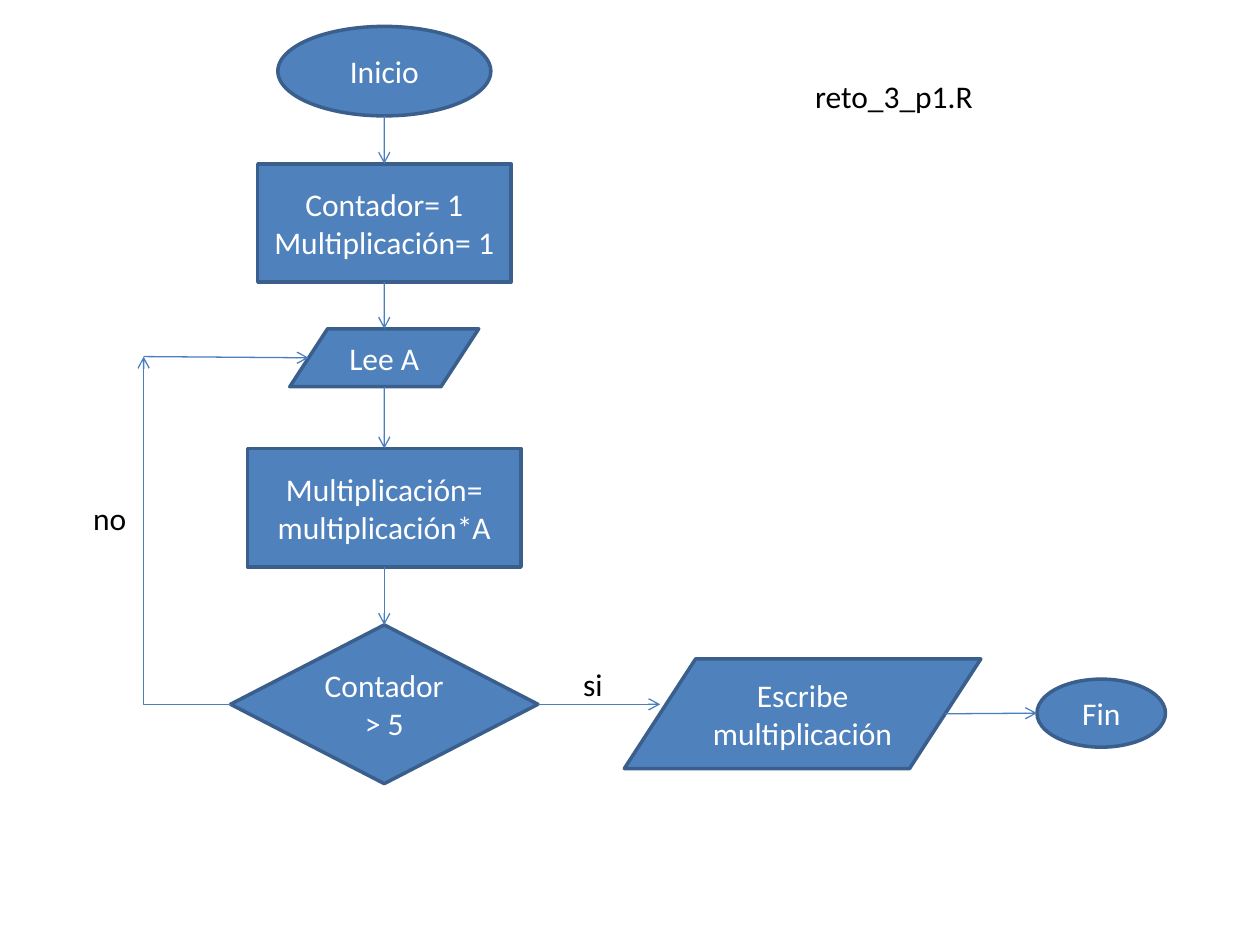
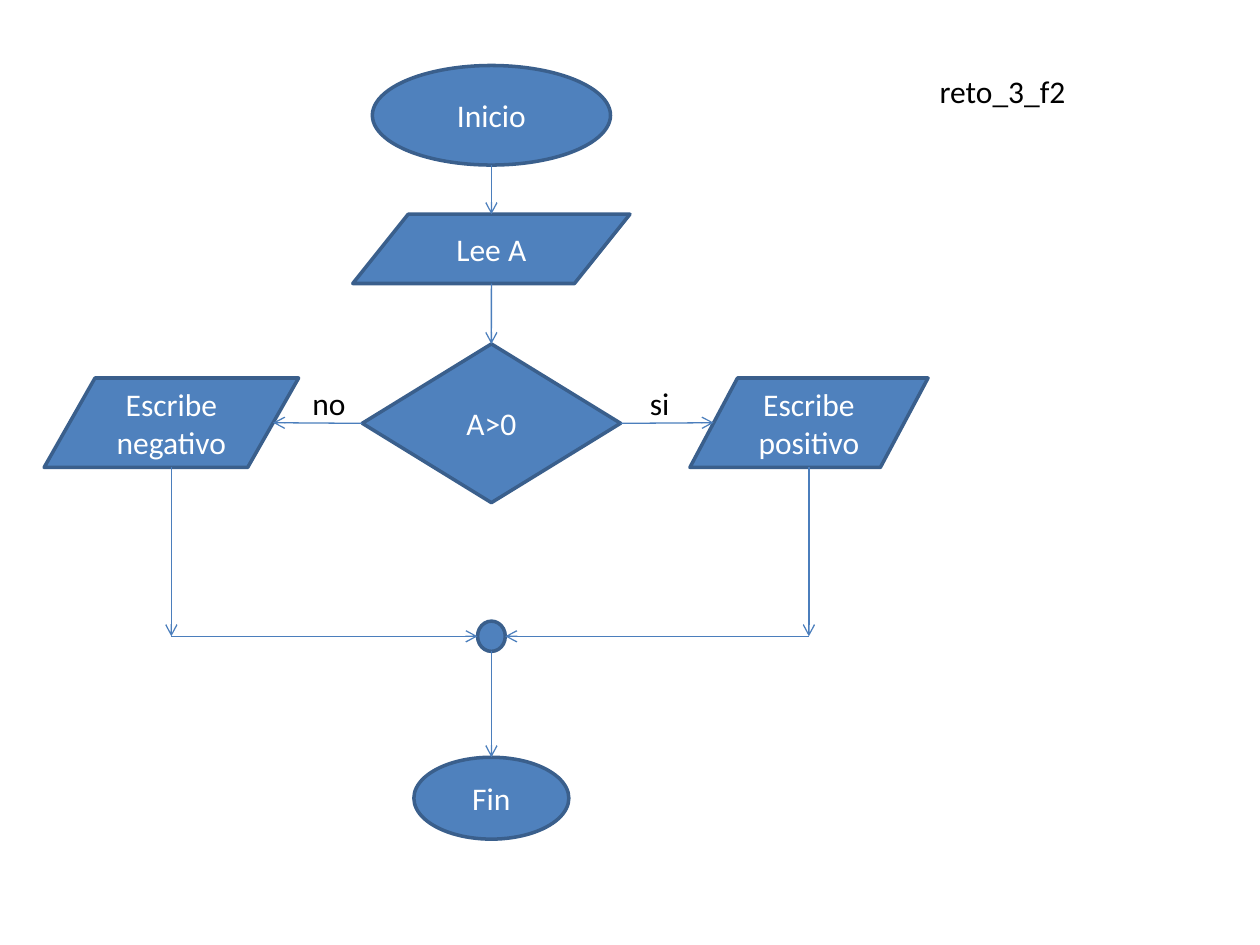
from lxml import etree
from pptx import Presentation
from pptx.dml.color import RGBColor
from pptx.enum.shapes import MSO_CONNECTOR as Link, MSO_SHAPE as Shape
from pptx.enum.text import MSO_ANCHOR as Anchor, MSO_AUTO_SIZE as AutoSize, PP_ALIGN as Align
from pptx.oxml.ns import qn
from pptx.util import Inches, Pt

NODE_FILL = RGBColor(0x4F, 0x81, 0xBD)
NODE_EDGE = RGBColor(0x3A, 0x5F, 0x8C)
ARROW_BLUE = RGBColor(0x4B, 0x7E, 0xBC)
WHITE = RGBColor(0xFF, 0xFF, 0xFF)
BLACK = RGBColor(0x00, 0x00, 0x00)

FONT = {"name": "Calibri", "size": Pt(18)}
LABEL_FRAME = {"word_wrap": True, "auto_size": AutoSize.SHAPE_TO_FIT_TEXT}
NODE_FRAME = {"word_wrap": True, "vertical_anchor": Anchor.MIDDLE}
LABEL_HEIGHT = 0.4
TOP, LEFT, BOTTOM, RIGHT = range(4)

TERMINAL, DATA, DECISION = Shape.OVAL, Shape.FLOWCHART_DATA, Shape.FLOWCHART_DECISION
JOINABLE = (Shape.RECTANGLE, Shape.FLOWCHART_PROCESS, DECISION)
DATA_SLANT = 0.1  # share of the width by which a data box's side middles lie inside

# Column centres and shared rows, in inches
PRODUCT_COL, RETURN_COL, WRITE_COL, END_COL = 3.05, 1.14, 6.37, 8.74
READ_ROW, CHECK_ROW = 2.83, 5.59
NEGATIVE_COL, SIGN_COL, POSITIVE_COL = 1.36, 3.9, 6.42
BRANCH_TOP, MERGE_ROW = 3.0, 5.05

# nodes: key -> (kind, column, top, width, height, lines)
# arrows: ends are (node key, side) or (x, y)
# labels: (left, top, width, text)
FLOWCHARTS = [
    {
        "nodes": {
            "start": (TERMINAL, PRODUCT_COL, 0.21, 1.69, 0.71, ["Inicio"]),
            "setup": (Shape.RECTANGLE, PRODUCT_COL, 1.3, 2.01, 0.94,
                      ["Contador= 1", "Multiplicación= 1"]),
            "read": (DATA, PRODUCT_COL, 2.61, 1.5, 0.46, ["Lee A"]),
            "multiply": (Shape.FLOWCHART_PROCESS, PRODUCT_COL, 3.56, 2.17, 0.94,
                         ["Multiplicación= multiplicación*A"]),
            "check": (DECISION, PRODUCT_COL, 4.96, 2.44, 1.26, ["Contador > 5"]),
            "write": (DATA, WRITE_COL, 5.23, 2.83, 0.87, ["Escribe multiplicación"]),
            "end": (TERMINAL, END_COL, 5.39, 1.02, 0.54, ["Fin"]),
        },
        "arrows": [
            (("start", BOTTOM), ("setup", TOP)),
            (("setup", BOTTOM), ("read", TOP)),
            (("read", BOTTOM), ("multiply", TOP)),
            (("multiply", BOTTOM), ("check", TOP)),
            ((RETURN_COL, READ_ROW), ("read", LEFT)),
            (("check", RIGHT), (5.24, CHECK_ROW)),
            (("write", RIGHT), ("end", LEFT)),
        ],
        "labels": [(0.64, 3.91, 0.47, "no"), (4.53, 5.23, 0.42, "si"),
                   (6.37, 0.56, 1.71, "reto_3_p1.R")],
    },
    {
        "nodes": {
            "start": (TERMINAL, SIGN_COL, 0.52, 1.89, 0.79, ["Inicio"]),
            "read": (DATA, SIGN_COL, 1.7, 2.2, 0.55, ["Lee A"]),
            "check": (DECISION, SIGN_COL, 2.73, 2.05, 1.26, ["A>0"]),
            "positive": (DATA, POSITIVE_COL, BRANCH_TOP, 1.89, 0.71, ["Escribe positivo"]),
            "negative": (DATA, NEGATIVE_COL, BRANCH_TOP, 2.02, 0.71, ["Escribe negativo"]),
            "merge": (TERMINAL, SIGN_COL, 4.93, 0.22, 0.24, []),
            "end": (TERMINAL, SIGN_COL, 6.01, 1.23, 0.65, ["Fin"]),
        },
        "arrows": [
            (("start", BOTTOM), ("read", TOP)),
            (("read", BOTTOM), ("check", TOP)),
            (("check", RIGHT), ("positive", LEFT)),
            (("check", LEFT), ("negative", RIGHT)),
            (("positive", BOTTOM), (POSITIVE_COL, MERGE_ROW)),
            (("negative", BOTTOM), (NEGATIVE_COL, MERGE_ROW)),
            ((POSITIVE_COL, MERGE_ROW), ("merge", RIGHT)),
            ((NEGATIVE_COL, MERGE_ROW), ("merge", LEFT)),
            (("merge", BOTTOM), ("end", TOP)),
        ],
        "labels": [(5.06, 3.0, 0.47, "si"), (2.38, 3.0, 0.58, "no"),
                   (7.36, 0.52, 2.13, "reto_3_f2")],
    },
]


def write_text(shape, lines, color, align, frame_format):
    frame = shape.text_frame
    for attribute, value in frame_format.items():
        setattr(frame, attribute, value)
    frame.text = "\n".join(lines)
    for paragraph in frame.paragraphs:
        paragraph.alignment = align
        for run in paragraph.runs:
            run.font.color.rgb = color
            for attribute, value in FONT.items():
                setattr(run.font, attribute, value)


def add_arrow(slide, start, finish, kind=Link.STRAIGHT):
    """Draw a thin connector with an open head; start and finish are in inches."""
    arrow = slide.shapes.add_connector(kind, *map(Inches, start + finish))
    arrow.line.color.rgb = ARROW_BLUE
    arrow.line.width = Pt(0.75)
    etree.SubElement(arrow.line._get_or_add_ln(), qn("a:tailEnd"), type="arrow")
    etree.SubElement(arrow._element.spPr, qn("a:effectLst"))
    return arrow


prs = Presentation()
prs.slide_width, prs.slide_height = Inches(10), Inches(7.5)
blank_layout = prs.slide_layouts[6]

for chart in FLOWCHARTS:
    slide = prs.slides.add_slide(blank_layout)
    nodes, side_middles = {}, {}
    for key, (kind, column, top, width, height, lines) in chart["nodes"].items():
        node = slide.shapes.add_shape(
            kind, *map(Inches, (column - width / 2, top, width, height)))
        node.shadow.inherit = False
        node.fill.solid()
        node.fill.fore_color.rgb = NODE_FILL
        node.line.color.rgb = NODE_EDGE
        node.line.width = Pt(2)
        write_text(node, lines, WHITE, Align.CENTER, NODE_FRAME)
        nodes[key] = node
        reach = width * (0.5 - (DATA_SLANT if kind == DATA else 0))
        middle = top + height / 2
        side_middles[key] = [(column, top), (column - reach, middle),
                             (column, top + height), (column + reach, middle)]

    for ends in chart["arrows"]:
        start, finish = [side_middles[end[0]][end[1]] if end[0] in nodes else end
                         for end in ends]
        arrow = add_arrow(slide, start, finish)
        for (key, side), join in zip(ends, (arrow.begin_connect, arrow.end_connect)):
            if key in nodes and chart["nodes"][key][0] in JOINABLE:
                join(nodes[key], side)

    for left, top, width, text in chart["labels"]:
        label = slide.shapes.add_textbox(*map(Inches, (left, top, width, LABEL_HEIGHT)))
        write_text(label, [text], BLACK, Align.LEFT, LABEL_FRAME)

# Loop back from the counter check: a single-bend connector turned half round
check_left = PRODUCT_COL - 2.44 / 2
loop_back = add_arrow(prs.slides[0], (RETURN_COL, READ_ROW), (check_left, CHECK_ROW), Link.ELBOW)
loop_back._element.spPr.find(qn("a:prstGeom")).set("prst", "bentConnector2")
loop_back._element.spPr.find(qn("a:xfrm")).set("rot", str(180 * 60000))

prs.save("out.pptx")
